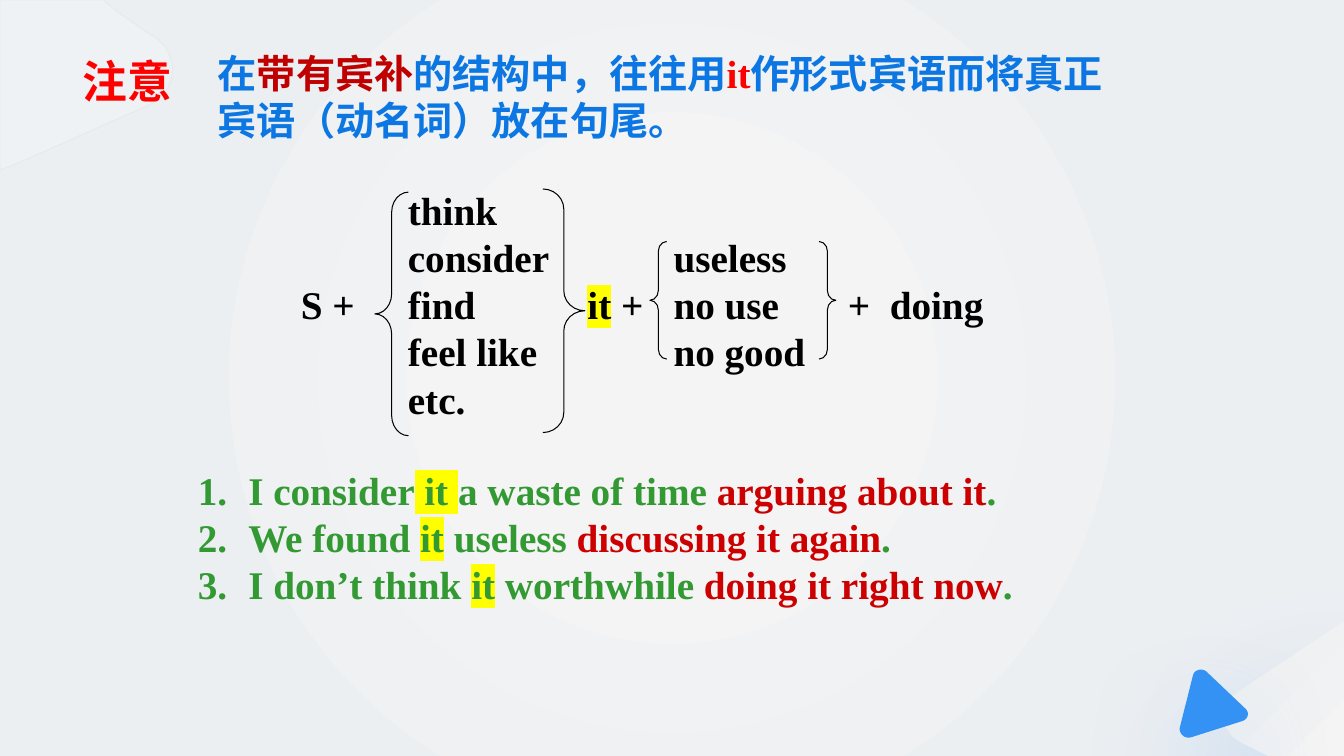
from lxml.etree import SubElement
from pptx import Presentation
from pptx.dml.color import RGBColor
from pptx.enum.shapes import MSO_SHAPE as Shape
from pptx.enum.text import MSO_ANCHOR as Anchor, MSO_AUTO_SIZE as AutoSize, PP_ALIGN as Align
from pptx.oxml.ns import qn
from pptx.util import Pt

PX = 9525
FONT = "Times New Roman"
RED, DARK_RED, CRIMSON = "FF0000", "C00000", "CC0000"
BLUE, SKY, GREEN, BLACK = "0C77E2", "3392F4", "339933", "000000"
YELLOW, WHITE, PALE, MIST, GREY = "FFFF00", "FFFFFF", "F4F4F5", "ECEFF2", "D0CECE"

CORNER_PANEL = [
    (0, 0), (98, 0), (113, 12), (125, 20, 136, 29, 150, 37),
    (172, 55, 168, 88, 142, 100), (18, 155), (0, 162),
]
BOTTOM_PANEL = [
    (1280, 591), (1280, 720), (1208, 720), (1180, 706),
    (1162, 696, 1160, 672, 1177, 660), (1260, 605),
]
TRIANGLE = [
    (1140, 641), (1120, 689), (1119, 694, 1123, 700, 1130, 699),
    (1180, 691), (1186, 690, 1188, 684, 1185, 680),
    (1153, 639), (1149, 635, 1142, 636, 1140, 641),
]
BRACES = [
    (Shape.LEFT_BRACE, (357, 183, 32, 232), 0.6),
    (Shape.LEFT_BRACE, (619, 230, 16, 112), 0.58),
    (Shape.RIGHT_BRACE, (517, 180, 40, 232), 0.48),
    (Shape.RIGHT_BRACE, (780, 230, 16, 112), 0.58),
]
RULE = [
    ("在", BLUE), ("带有宾补", DARK_RED), ("的结构中，往往用", BLUE), ("it", RED),
    ("作形式宾语而将真正宾语（动名词）放在句尾。", BLUE),
]
EXAMPLES = [
    ("I consider", " it ", "a waste of time ", "arguing about it"),
    ("We found ", "it", " useless ", "discussing it again"),
    ("I don’t think ", "it", " worthwhile ", "doing it right now"),
]
FORMULA = [
    [("\t\tthink", BLACK)],
    [("\t\tconsider\t\tuseless", BLACK)],
    [("\tS +\tfind\t", BLACK), ("it", BLACK, YELLOW), (" +\tno use\t+\tdoing", BLACK)],
    [("\t\tfeel like\t\tno good", BLACK)],
    [("\t\tetc.", BLACK)],
]
FORMULA_TABS = [65, 167, 338, 420, 586, 626]


def color(value):
    return RGBColor.from_string(value)


def box(*lengths):
    return [length * PX for length in lengths]


def add_color(parent, value, alpha=100):
    element = SubElement(parent, qn("a:srgbClr"), val=value)
    if alpha < 100:
        SubElement(element, qn("a:alpha"), val=str(alpha * 1000))


def set_gradient(fill, properties, stops, radial=False):
    fill.gradient()
    gradient = properties.find(qn("a:gradFill"))
    for child in list(gradient):
        gradient.remove(child)
    stop_list = SubElement(gradient, qn("a:gsLst"))
    for position, value in stops:
        add_color(SubElement(stop_list, qn("a:gs"), pos=str(position * 1000)), value)
    if radial:
        route = SubElement(gradient, qn("a:path"), {"path": "circle"})
        SubElement(route, qn("a:fillToRect"), dict.fromkeys("ltrb", "50000"))
    else:
        SubElement(gradient, qn("a:lin"), ang="2700000", scaled="0")


def add_shadow(shape, value):
    effects = shape._element.spPr.find(qn("a:effectLst"))
    shadow = SubElement(effects, qn("a:outerShdw"), blurRad=str(Pt(84)),
                        dist=str(Pt(34)), dir="5400000", algn="t", rotWithShape="0")
    add_color(shadow, value, 20)


def outline_points(segments, steps=10):
    points = []
    for segment in segments:
        if len(segment) == 2:
            points.append(segment)
            continue
        corners = [points[-1], segment[:2], segment[2:4], segment[4:]]
        for step in range(1, steps + 1):
            t = step / steps
            weights = ((1 - t) ** 3, 3 * t * (1 - t) ** 2, 3 * t * t * (1 - t), t ** 3)
            points.append(tuple(
                sum(weight * corner[axis] for weight, corner in zip(weights, corners))
                for axis in (0, 1)))
    return [(round(x * PX), round(y * PX)) for x, y in points]


def add_outline(slide, segments):
    start, *others = outline_points(segments)
    builder = slide.shapes.build_freeform(*start)
    builder.add_line_segments(others, close=True)
    shape = builder.convert_to_shape()
    shape.shadow.inherit = False
    shape.line.fill.background()
    return shape


def add_decoration(slide):
    corner = add_outline(slide, CORNER_PANEL)
    corner.fill.solid()
    corner.fill.fore_color.rgb = color(WHITE)
    corner.line.color.rgb = color(GREY)
    corner.line.width = Pt(0.75)
    for solid in corner._element.spPr.iter(qn("a:solidFill")):
        SubElement(solid[0], qn("a:alpha"), val="20000")

    bottom = add_outline(slide, BOTTOM_PANEL)
    set_gradient(bottom.fill, bottom._element.spPr, [(12, MIST), (100, PALE)])
    add_shadow(bottom, SKY)

    triangle = add_outline(slide, TRIANGLE)
    triangle.rotation = 351.5
    triangle.fill.solid()
    triangle.fill.fore_color.rgb = color(SKY)
    add_shadow(triangle, BLUE)


def add_run(paragraph, text, text_color, highlight=None, size=28):
    run = paragraph.add_run()
    run.text = text
    run.font.size = Pt(size)
    run.font.bold = True
    run.font.color.rgb = color(text_color)
    if highlight:
        properties = run.font._element
        mark = SubElement(properties, qn("a:highlight"))
        add_color(mark, highlight)
        properties.find(qn("a:solidFill")).addnext(mark)
    run.font.name = FONT


def number_paragraph(paragraph):
    properties = paragraph._p.get_or_add_pPr()
    properties.set("marL", str(48 * PX))
    properties.set("indent", str(-48 * PX))
    SubElement(properties, qn("a:buFont"), typeface="+mj-lt")
    SubElement(properties, qn("a:buAutoNum"), type="arabicPeriod")


def add_tabs(paragraph, positions):
    tabs = SubElement(paragraph._p.get_or_add_pPr(), qn("a:tabLst"))
    for position in positions:
        SubElement(tabs, qn("a:tab"), pos=str(position * PX), algn="l")


def add_text(slide, bounds, lines, numbered=False, tabs=()):
    frame = slide.shapes.add_textbox(*box(*bounds)).text_frame
    frame.word_wrap = True
    for index, runs in enumerate(lines):
        paragraph = frame.add_paragraph() if index else frame.paragraphs[0]
        if numbered:
            number_paragraph(paragraph)
        if tabs:
            add_tabs(paragraph, tabs)
        for run in runs:
            add_run(paragraph, *run)


def format_title(slide):
    title = slide.shapes.title
    title.left, title.top, title.width, title.height = box(69, 0, 1140, 108)
    frame = title.text_frame
    frame.auto_size = AutoSize.NONE
    frame.vertical_anchor = Anchor.BOTTOM
    paragraph = frame.paragraphs[0]
    paragraph.alignment = Align.LEFT
    paragraph.line_spacing = 0.9
    add_run(paragraph, "注意", RED, size=32)
    slide.shapes._spTree.append(title._element)


def add_brace(slide, kind, bounds, curl):
    brace = slide.shapes.add_shape(kind, *box(*bounds))
    brace.shadow.inherit = False
    brace.adjustments[0] = curl
    brace.fill.background()
    brace.line.color.rgb = color(BLACK)
    brace.line.width = Pt(0.75)


def main():
    presentation = Presentation()
    presentation.slide_width, presentation.slide_height = box(1280, 720)
    slide = presentation.slides.add_slide(presentation.slide_layouts[5])
    background = slide.background.fill
    background.solid()
    set_gradient(background, slide._element.find(".//" + qn("p:bgPr")),
                 [(0, PALE), (23, PALE), (69, MIST), (100, MIST)], radial=True)
    add_decoration(slide)
    format_title(slide)
    add_text(slide, (198, 42, 866, 100), [RULE])
    examples = [
        [(opening, GREEN), (pronoun, GREEN, YELLOW), (middle, GREEN), (gerund, CRIMSON), (".", GREEN)]
        for opening, pronoun, middle, gerund in EXAMPLES
    ]
    add_text(slide, (179, 439, 809, 145), examples, numbered=True)
    add_text(slide, (212, 173, 743, 236), FORMULA, tabs=FORMULA_TABS)
    for brace in BRACES:
        add_brace(slide, *brace)
    presentation.save("out.pptx")


if __name__ == "__main__":
    main()
